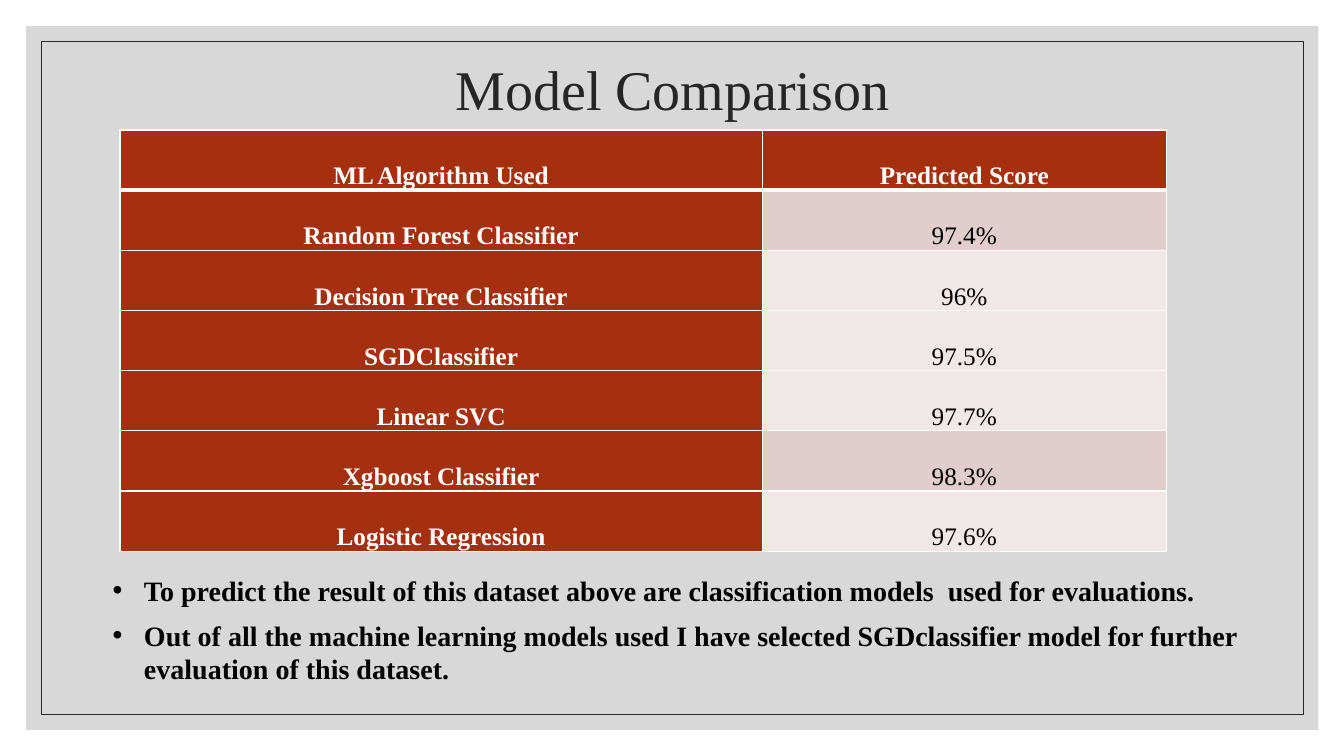
from dataclasses import dataclass

from lxml.etree import SubElement
from pptx import Presentation
from pptx.dml.color import RGBColor
from pptx.enum.shapes import MSO_SHAPE
from pptx.enum.text import MSO_ANCHOR, PP_ALIGN
from pptx.oxml.ns import qn
from pptx.util import Emu, Inches, Pt

COLORS = {
    "panel": "BFBFBF",
    "ink": "262626",
    "brick": "A53010",
    "rose": "E1CDCC",
    "blush": "F0E8E7",
    "white": "FFFFFF",
    "black": "000000",
}
FONT = "Times New Roman"
SLIDE_WIDTH, SLIDE_HEIGHT = Inches(13.333), Inches(7.5)


@dataclass(frozen=True)
class Area:
    """A region in percent of the slide's width and height."""
    left: float
    top: float
    width: float
    height: float

    def lengths(self) -> tuple[Emu, Emu, Emu, Emu]:
        return across(self.left), down(self.top), across(self.width), down(self.height)


@dataclass(frozen=True)
class Score:
    algorithm: str
    value: str
    tint: str = "blush"


PANEL = Area(1.95, 3.47, 96.15, 93.07)
FRAME = Area(3.08, 5.47, 93.9, 89.07)
TITLE = Area(8.78, 6.67, 82.5, 11.07)
NOTES = Area(3.9, 75.2, 92.03, 16.27)
COLUMN_WIDTHS = (47.78, 30.08)
ROW_HEIGHT = 7.96
TABLE_LEFT, TABLE_TOP = 8.93, 17.2

SCORES = (
    Score("ML Algorithm Used", "Predicted Score", "brick"),
    Score("Random Forest Classifier", "97.4%", "rose"),
    Score("Decision Tree Classifier", "96%"),
    Score("SGDClassifier", "97.5%"),
    Score("Linear SVC", "97.7%"),
    Score("Xgboost Classifier", "98.3%", "rose"),
    Score("Logistic Regression", "97.6%"),
)
REMARKS = (
    "To predict the result of this dataset above are classification models  used for evaluations.",
    "Out of all the machine learning models used I have selected SGDclassifier model "
    "for further evaluation of this dataset.",
)


def across(percent: float) -> Emu:
    return Emu(round(SLIDE_WIDTH * percent / 100))


def down(percent: float) -> Emu:
    return Emu(round(SLIDE_HEIGHT * percent / 100))


def color(name: str) -> RGBColor:
    return RGBColor.from_string(COLORS[name])


def style(para, size: float, ink: str, bold: bool = False) -> None:
    para.font.name = FONT
    para.font.size = Pt(size)
    para.font.bold = bold
    para.font.color.rgb = color(ink)


def add_rectangle(page, area: Area):
    box = page.shapes.add_shape(MSO_SHAPE.RECTANGLE, *area.lengths())
    box.shadow.inherit = False
    return box


def add_text_frame(page, area: Area):
    frame = page.shapes.add_textbox(*area.lengths()).text_frame
    frame.word_wrap = True
    return frame


def add_borders(cell, top: float, bottom: float) -> None:
    properties = cell._tc.get_or_add_tcPr()
    for side, width in (("L", 1), ("R", 1), ("T", top), ("B", bottom)):
        line = SubElement(properties, qn(f"a:ln{side}"), w=str(Pt(width)))
        fill = SubElement(line, qn("a:solidFill"))
        SubElement(fill, qn("a:srgbClr"), val=COLORS["white"])


def fill_cell(cell, text: str, tint: str) -> None:
    cell.fill.solid()
    cell.fill.fore_color.rgb = color(tint)
    cell.vertical_anchor = MSO_ANCHOR.BOTTOM
    cell.margin_left = cell.margin_right = Inches(0.07)
    cell.margin_top = cell.margin_bottom = 0
    para = cell.text_frame.paragraphs[0]
    para.text = text
    para.alignment = PP_ALIGN.CENTER
    para.line_spacing = 1.5
    para.space_after = Pt(8)
    on_brick = tint == "brick"
    style(para, 18, "white" if on_brick else "black", bold=on_brick)


def add_background(page) -> None:
    panel = add_rectangle(page, PANEL)
    panel.fill.solid()
    panel.fill.fore_color.rgb = color("panel")
    panel.line.fill.background()
    tone = panel._element.spPr.find(qn("a:solidFill")).find(qn("a:srgbClr"))
    SubElement(tone, qn("a:alpha"), val="60000")

    frame = add_rectangle(page, FRAME)
    frame.fill.background()
    frame.line.color.rgb = color("ink")
    frame.line.width = Pt(0.5)


def add_title(page) -> None:
    frame = add_text_frame(page, TITLE)
    frame.vertical_anchor = MSO_ANCHOR.MIDDLE
    para = frame.paragraphs[0]
    para.text = "Model Comparison"
    para.alignment = PP_ALIGN.CENTER
    para.line_spacing = 0.9
    style(para, 40, "ink")


def add_score_table(page) -> None:
    area = Area(TABLE_LEFT, TABLE_TOP, sum(COLUMN_WIDTHS), ROW_HEIGHT * len(SCORES))
    table = page.shapes.add_table(len(SCORES), len(COLUMN_WIDTHS), *area.lengths()).table
    for column, width in zip(table.columns, COLUMN_WIDTHS):
        column.width = across(width)
    for index, score in enumerate(SCORES):
        table.rows[index].height = down(ROW_HEIGHT)
        entries = ((score.algorithm, "brick"), (score.value, score.tint))
        for cell, (text, tint) in zip(table.rows[index].cells, entries):
            # A heavier rule separates the header from the scores
            add_borders(cell, top=3 if index == 1 else 1, bottom=3 if index == 0 else 1)
            fill_cell(cell, text, tint)


def add_remarks(page) -> None:
    frame = add_text_frame(page, NOTES)
    for index, remark in enumerate(REMARKS):
        para = frame.add_paragraph() if index else frame.paragraphs[0]
        para.text = remark
        properties = para._p.get_or_add_pPr()
        properties.set("marL", str(Inches(0.81)))
        properties.set("indent", str(Inches(-0.31)))
        SubElement(properties, qn("a:buFont"), typeface="Arial")
        SubElement(properties, qn("a:buChar"), char="•")
        para.space_after = Pt(8)
        style(para, 20, "black", bold=True)


def main() -> None:
    deck = Presentation()
    deck.slide_width, deck.slide_height = SLIDE_WIDTH, SLIDE_HEIGHT
    page = deck.slides.add_slide(deck.slide_layouts[6])
    add_background(page)
    add_title(page)
    add_score_table(page)
    add_remarks(page)
    deck.save("out.pptx")


if __name__ == "__main__":
    main()
